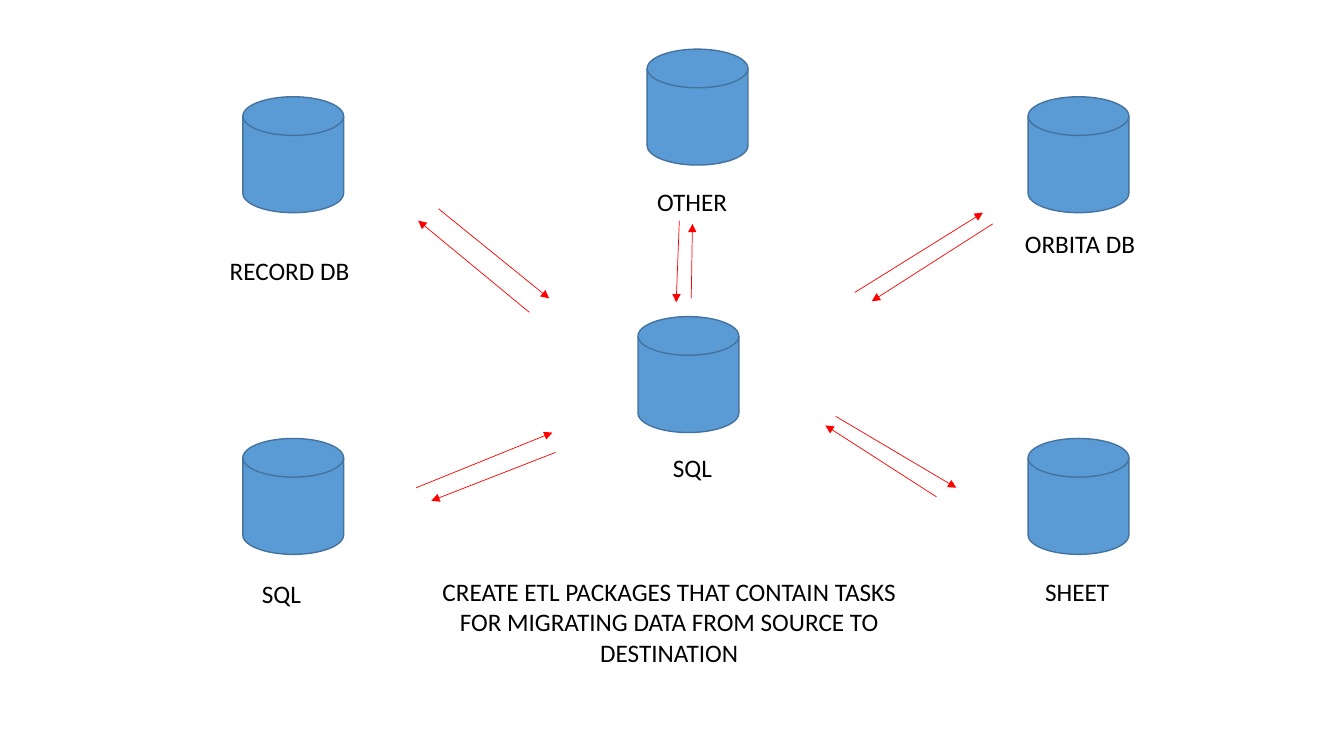
from lxml import etree
from pptx import Presentation
from pptx import util as u
from pptx.dml.color import RGBColor
from pptx.enum import shapes, text
from pptx.oxml import ns

BLUE = RGBColor(0x5B, 0x9B, 0xD5)
EDGE = RGBColor(0x43, 0x73, 0x9E)
RED = RGBColor(0xFF, 0, 0)
BLACK = RGBColor(0, 0, 0)

LEFT, RIGHT = 6.12, 25.91
UPPER, LOWER = 2.44, 11.05

# Disk left and top; label text, left, top and width (cm)
STORES = [
    ((16.08, 7.98), ("SQL", 16.71, 11.28, 1.7)),
    ((RIGHT, LOWER), ("SHEET", 26.09, 14.4, 2.36)),
    ((LEFT, LOWER), ("SQL", 6.35, 14.45, 2.11)),
    ((RIGHT, UPPER), ("ORBITA DB", 25.58, 5.64, 4.57)),
    ((LEFT, UPPER), ("RECORD DB", 5.54, 6.32, 4.57)),
    ((16.31, 1.24), ("OTHER", 16.31, 4.57, 2.77)),
]

# Start x, y and end x, y (cm), two opposite arrows for each store
FLOWS = [
    (11.05, 5.26, 13.84, 7.52), (13.34, 7.87, 10.54, 5.56),
    (10.49, 12.29, 13.92, 10.9), (14, 11.4, 10.87, 12.62),
    (21.54, 7.37, 24.77, 5.36), (25.02, 5.64, 21.97, 7.59),
    (21.06, 10.49, 24.1, 12.29), (23.6, 12.52, 20.8, 10.72),
    (17.12, 5.56, 17.04, 7.62), (17.42, 7.52, 17.45, 5.64),
]


def add_disk(slide, left, top):
    """Draw one database cylinder."""
    disk = slide.shapes.add_shape(
        shapes.MSO_SHAPE.FLOWCHART_MAGNETIC_DISK,
        u.Cm(left), u.Cm(top), u.Cm(2.54), u.Cm(2.92))
    disk.shadow.inherit = False
    disk.fill.solid()
    disk.fill.fore_color.rgb = BLUE
    disk.line.color.rgb = EDGE
    disk.line.width = u.Pt(1)


def add_text(slide, words, left, top, width, height=1.02, *,
             size=18, font="Calibri", color=BLACK,
             align=text.PP_ALIGN.LEFT):
    """Add a wrapped text box in the given format."""
    box = slide.shapes.add_textbox(
        u.Cm(left), u.Cm(top), u.Cm(width), u.Cm(height))
    frame = box.text_frame
    frame.word_wrap = True
    frame.auto_size = text.MSO_AUTO_SIZE.SHAPE_TO_FIT_TEXT
    para = frame.paragraphs[0]
    para.alignment = align
    run = para.add_run()
    run.text = words
    run.font.size = u.Pt(size)
    run.font.name = font
    run.font.color.rgb = color


def add_arrow(slide, *ends):
    """Draw a thin red arrow from the first point to the second."""
    arrow = slide.shapes.add_connector(
        shapes.MSO_CONNECTOR.STRAIGHT, *map(u.Cm, ends))
    arrow.line.color.rgb = RED
    arrow.line.width = u.Pt(0.5)
    props = arrow.element.spPr
    line = props.find(ns.qn("a:ln"))
    etree.SubElement(line, ns.qn("a:tailEnd"), type="triangle")
    etree.SubElement(props, ns.qn("a:effectLst"))


def main():
    """Build the data migration slide."""
    deck = Presentation()
    deck.slide_width, deck.slide_height = u.Cm(33.87), u.Cm(19.05)
    slide = deck.slides.add_slide(deck.slide_layouts[6])
    for spot, label in STORES:
        add_disk(slide, *spot)
        add_text(slide, *label)
    for ends in FLOWS:
        add_arrow(slide, *ends)
    add_text(slide, "CREATE ETL PACKAGES THAT CONTAIN TASKS FOR MIGRATING "
             "DATA FROM SOURCE TO DESTINATION",
             10.54, 14.4, 12.65, 2.57, align=text.PP_ALIGN.CENTER)
    deck.save("out.pptx")


main()
